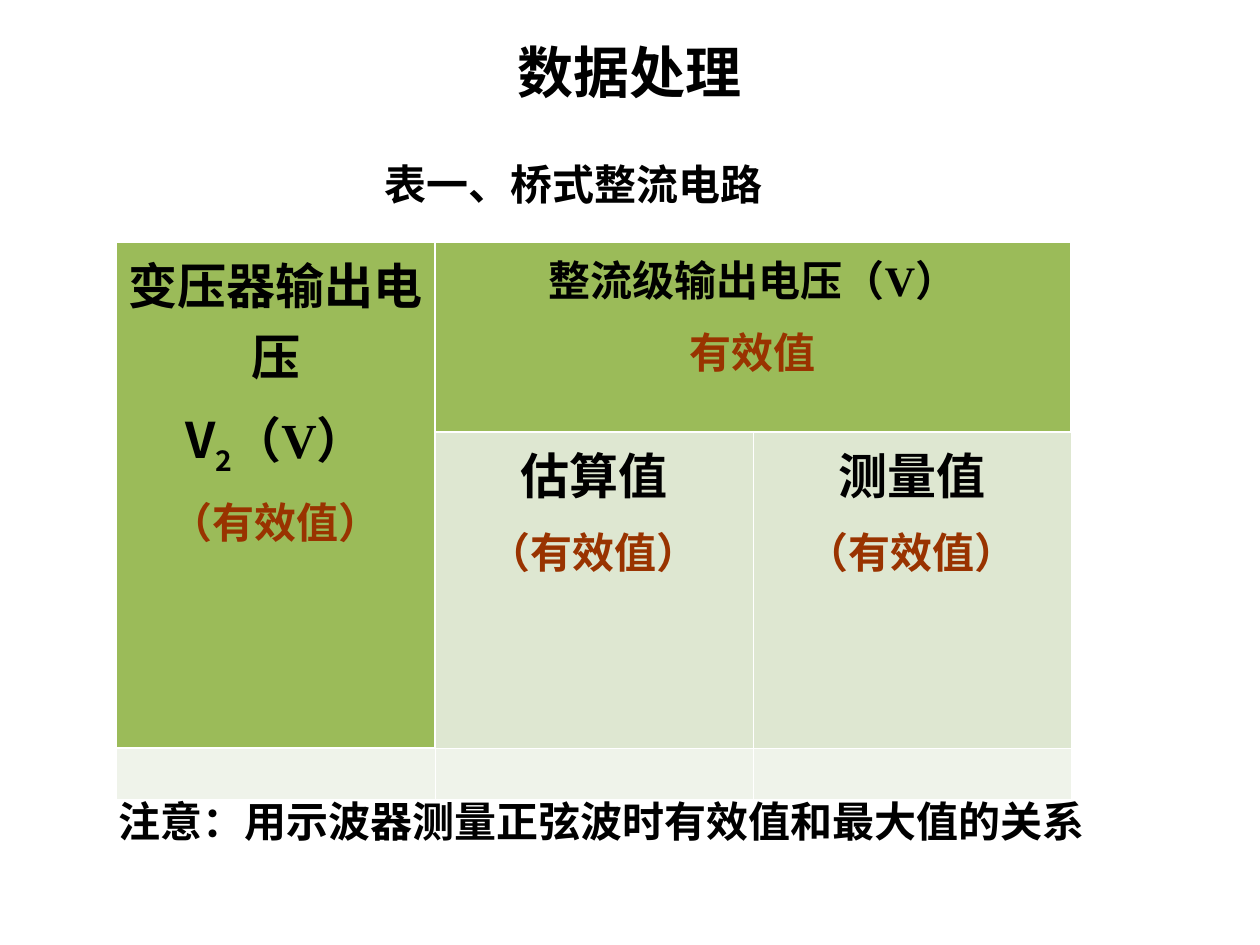
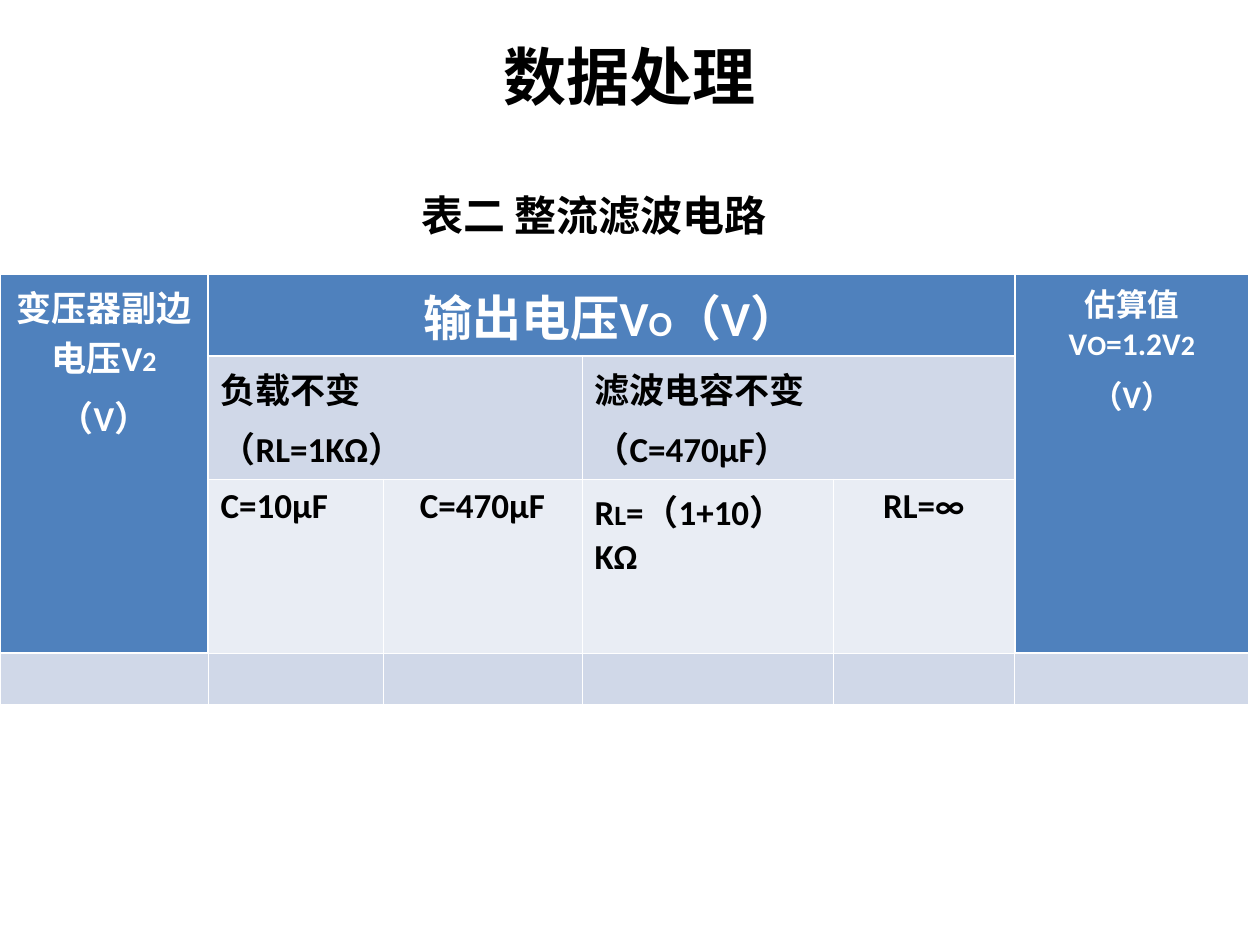
from dataclasses import dataclass

from lxml.etree import SubElement
from pptx import Presentation
from pptx.dml.color import RGBColor
from pptx.enum.text import PP_ALIGN
from pptx.oxml.ns import qn
from pptx.util import Emu, Pt

SCALE = 914400 / 126


@dataclass(frozen=True)
class Theme:
    """Colours, fonts and type sizes shared by the slides."""
    ink: str = "000000"
    white: str = "FFFFFF"
    accent: str = "993300"
    green: tuple = ("9BBB59", "DEE7D1", "EFF3EA")
    blue: tuple = ("4F81BD", "D0D8E8", "E9EDF4")
    heading: str = "Arial"
    cjk: str = "Noto Sans CJK SC"
    latin: str = "Calibri"
    serif: str = "Times New Roman"
    large: int = 28
    medium: int = 24
    body: int = 20
    small: int = 18
    index: int = 16
    thin: float = 0.45
    thick: float = 1.47


T = Theme()


@dataclass
class Entry:
    """One filled table cell with its span, text and format."""
    row: int
    col: int
    fill: str
    paras: list
    rows: int = 1
    cols: int = 1
    align: PP_ALIGN = PP_ALIGN.CENTER
    color: str = T.ink


def px(n):
    """Turn pixels into EMU."""
    return Emu(round(n * SCALE))


def run(text, **fmt):
    """Pair a piece of text with its format."""
    return text, fmt


def add_run(p, text, size=T.body, color=T.ink, font=T.heading, sub=False):
    """Add bold text to a paragraph."""
    r = p.add_run()
    r.text = text
    r.font.size, r.font.bold, r.font.name = Pt(size), True, font
    r.font.color.rgb = RGBColor.from_string(color)
    SubElement(r._r.get_or_add_rPr(), qn("a:ea")).set("typeface", T.cjk)
    if sub:
        r._r.get_or_add_rPr().set("baseline", "-25000")


def write(tf, paras, align=PP_ALIGN.LEFT, **defaults):
    """Fill a text frame with (space before, runs) paragraphs."""
    for i, (before, runs) in enumerate(paras):
        p = tf.add_paragraph() if i else tf.paragraphs[0]
        p.alignment = align
        if i:
            p.space_before = Pt(before)
        for text, fmt in runs:
            add_run(p, text, **{**defaults, **fmt})


def add_label(s, box, text, size=T.medium, align=PP_ALIGN.LEFT, top=6):
    """Place one line of heading text in a box."""
    tf = s.shapes.add_textbox(*map(px, box)).text_frame
    tf.word_wrap = True
    tf.margin_top = px(top)
    write(tf, [(0, [run(text)])], align, size=size)


def add_title(s, size):
    """Place the slide title."""
    add_label(s, (63, 37, 1134, 157), "数据处理", size, PP_ALIGN.CENTER, top=0)


def set_borders(cell, widths):
    """Draw white cell borders, given widths in points by side."""
    pr = cell._tc.get_or_add_tcPr()
    for i, (side, width) in enumerate(widths.items()):
        ln = pr.makeelement(qn(f"a:ln{side}"), {"w": str(Pt(width))})
        fill = SubElement(ln, qn("a:solidFill"))
        SubElement(fill, qn("a:srgbClr")).set("val", T.white)
        pr.insert(i, ln)


def add_grid(s, origin, widths, heights, entries, header, last, font):
    """Build a table whose header cells have thick inner edges."""
    size = sum(widths), sum(heights)
    table = s.shapes.add_table(len(heights), len(widths), *map(px, origin + size)).table
    for col, width in zip(table.columns, widths):
        col.width = px(width)
    for row, height in zip(table.rows, heights):
        row.height = px(height)

    fills = {(r, c): last for r in range(len(heights)) for c in range(len(widths))}
    for e in entries:
        for r in range(e.row, e.row + e.rows):
            for c in range(e.col, e.col + e.cols):
                fills[r, c] = e.fill

    for (r, c), color in fills.items():
        cell = table.cell(r, c)
        cell.fill.solid()
        cell.fill.fore_color.rgb = RGBColor.from_string(color)
        sides = {"L": (r, c - 1), "R": (r, c + 1), "T": (r - 1, c), "B": (r + 1, c)}
        set_borders(cell, {
            side: T.thick if near in fills and header in (color, fills[near]) else T.thin
            for side, near in sides.items()})

    for e in entries:
        cell = table.cell(e.row, e.col)
        if e.rows * e.cols > 1:
            cell.merge(table.cell(e.row + e.rows - 1, e.col + e.cols - 1))
        write(cell.text_frame, e.paras, e.align, color=e.color, font=font)


def rectifier_slide(s):
    """Build the bridge rectifier slide."""
    head, band, last = T.green
    big, mid = {"size": T.large}, {"size": T.medium}
    rms = (6, [run("（有效值）", color=T.accent, **mid)])
    add_title(s, 32)
    entries = [
        Entry(0, 0, head, [
            (7, [run("变压器输出电压", **big)]),
            (7, [run("V", **big), run("2", sub=True, **big), run("（", **big),
                 run("V", font=T.serif, **big), run("）", **big)]),
            rms], rows=2),
        Entry(0, 1, head, [
            (6, [run("整流级输出电压（", **mid), run("V）", font=T.serif, **mid)]),
            (6, [run("有效值", color=T.accent, font=T.heading, **mid)])], cols=2),
    ]
    entries += [Entry(1, col, band, [(7, [run(name, **big)]), rms])
                for col, name in enumerate(("估算值", "测量值"), 1)]
    add_grid(s, (116, 242), (319, 318, 318), (190, 316, 51), entries, head, last, T.cjk)
    add_label(s, (315, 152, 517, 72), "表一、桥式整流电路", align=PP_ALIGN.CENTER)
    add_label(s, (106, 790, 1008, 72), "注意：用示波器测量正弦波时有效值和最大值的关系")


def filter_slide(s):
    """Build the rectifier filter slide."""
    head, band, light = T.blue
    left = PP_ALIGN.LEFT
    add_title(s, 36)
    top = {"fill": head, "color": T.white}
    entries = [
        Entry(0, 0, rows=3, **top, paras=[
            (4, [run("变压器副边电压V"), run("2", size=T.index)]), (5, [run("（V）")])]),
        Entry(0, 1, cols=4, **top, paras=[
            (7, [run("输出电压V", size=T.large), run("O"), run("（V）", size=T.large)])]),
        Entry(0, 5, rows=3, **top, paras=[
            (4, [run("估算值V", size=T.small), run("O", size=T.index),
                 run("=1.2V", size=T.small), run("2", size=T.index)]),
            (4.5, [run("（V）", size=T.small)])]),
    ]
    groups = ("负载不变", "（RL=1KΩ）"), ("滤波电容不变", "（C=470μF）")
    entries += [Entry(1, 1 + 2 * i, band, [(5, [run(line)]) for line in lines],
                      cols=2, align=left) for i, lines in enumerate(groups)]
    cases = ([run("C=10μF")], [run("C=470μF")],
             [run("R"), run("L", size=T.index), run("=（1+10）KΩ")], [run("RL=∞")])
    entries += [Entry(2, col, light, [(5, runs)],
                      align=left if col % 2 else PP_ALIGN.CENTER)
                for col, runs in enumerate(cases, 1)]
    add_grid(s, (0, 274), (208, 175, 199, 251, 182, 234), (82, 123, 174, 51),
             entries, head, band, T.latin)
    add_label(s, (409, 183, 437, 72), "表二 整流滤波电路")


def main():
    """Build and save the presentation."""
    prs = Presentation()
    prs.slide_width, prs.slide_height = px(1260), px(945)
    for build in (rectifier_slide, filter_slide):
        build(prs.slides.add_slide(prs.slide_layouts[6]))
    prs.save("out.pptx")


if __name__ == "__main__":
    main()
